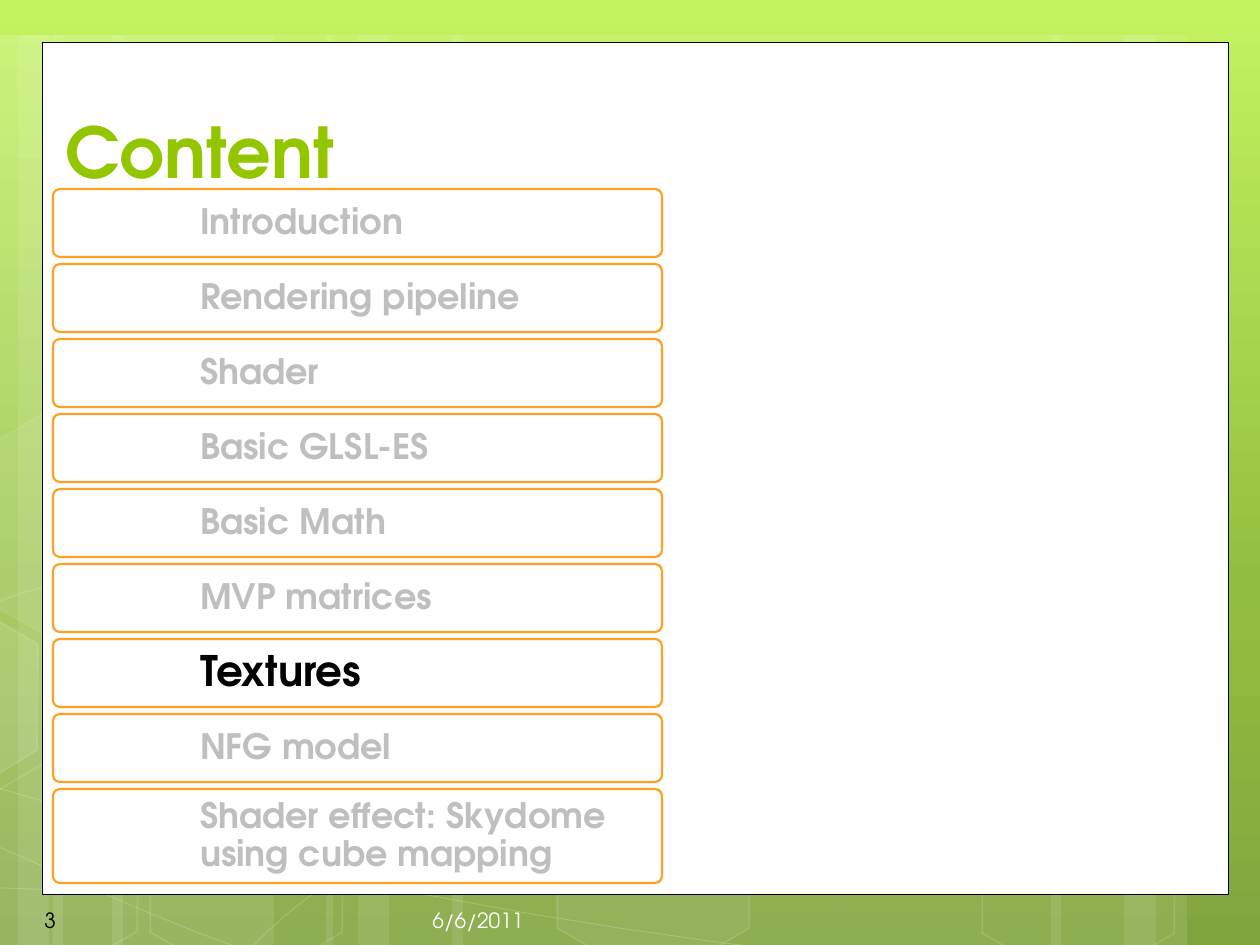
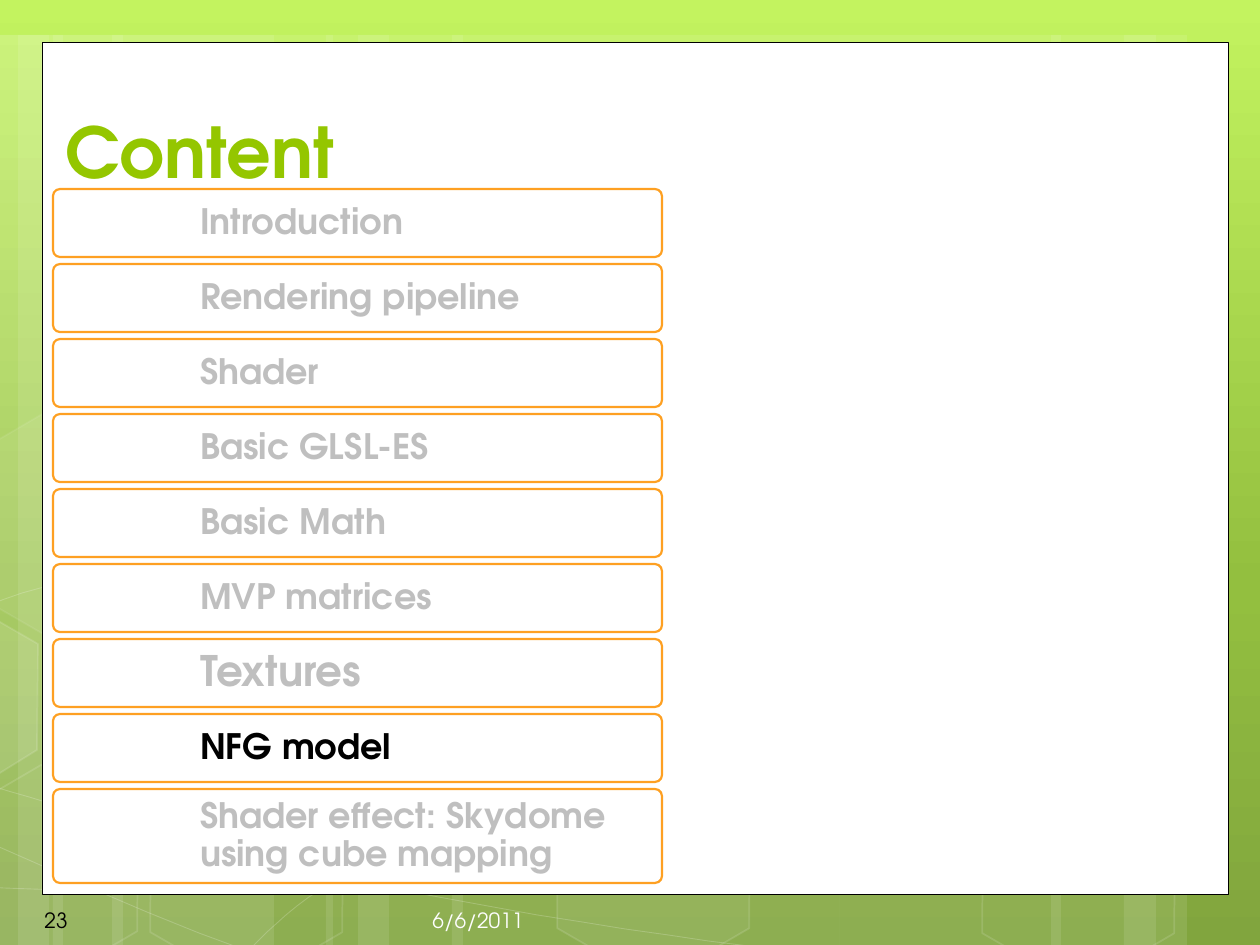
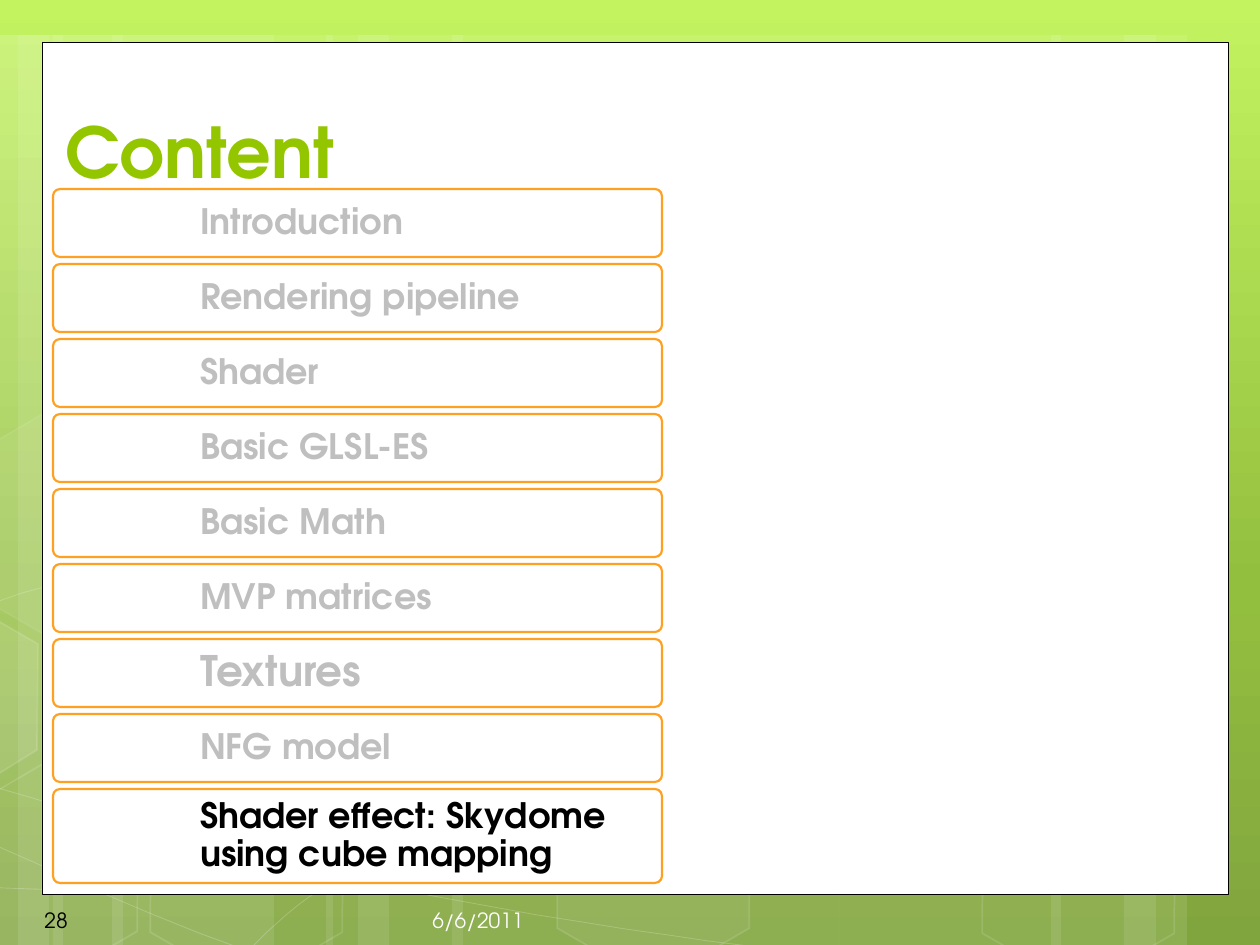
from lxml import etree
from pptx import Presentation
from pptx.dml.color import RGBColor
from pptx.enum.shapes import MSO_SHAPE
from pptx.enum.text import MSO_ANCHOR, PP_ALIGN
from pptx.oxml.ns import qn
from pptx.util import Pt

# Content: page number and highlighted topic of each slide
TITLE = "Content"
DATE = "6/6/2011"
TOPICS = [
    ("Introduction", 20),
    ("Rendering pipeline", 20),
    ("Shader", 20),
    ("Basic GLSL-ES", 20),
    ("Basic Math", 20),
    ("MVP matrices", 20),
    ("Textures", 24),
    ("NFG model", 20),
    ("Shader effect: Skydome using cube mapping", 20),
]
SLIDES = [("3", 6), ("23", 7), ("28", 8)]

# Style
FONT = "TeX Gyre Adventor"
WHITE = RGBColor(0xFF, 0xFF, 0xFF)
BLACK = RGBColor(0, 0, 0)
GREEN = RGBColor(0x94, 0xC6, 0x00)
ORANGE = RGBColor(0xFE, 0xA0, 0x22)
GRAY = RGBColor(0xBF, 0xBF, 0xBF)
DATE_COLOR = RGBColor(0xFE, 0xFE, 0xFE)
GRADIENT = [
    (0, RGBColor(0xC3, 0xF3, 0x5F)),
    (62, RGBColor(0x93, 0xBF, 0x3F)),
    (100, RGBColor(0x81, 0xA5, 0x3E)),
]

# Backdrop, in pixels: stripes as (left, width)
STRIPES = [(53, 221), (-42, 105), (112, 221), (-14, 63), (18, 105), (840, 221),
           (1124, 63), (1051, 105), (452, 388), (326, 63), (358, 105)]
# Curves: a start point, then cubic pieces (control, control, end)
CURVES = [
    [(-74, 883), (-7, 887, 62, 892, 156, 890), (251, 888, 368, 886, 494, 873),
     (620, 861, 799, 837, 915, 813), (1029, 789, 1148, 751, 1186, 730)],
    [(-74, 636), (-38, 617, -1, 597, 69, 580), (141, 561, 243, 533, 354, 523),
     (466, 514, 602, 514, 741, 523), (879, 533, 1110, 572, 1186, 582)],
    [(-76, 813), (77, 882, 228, 951, 338, 980)],
    [(-74, 764), (-35, 777, 5, 791, 78, 811), (151, 832, 261, 862, 365, 883),
     (471, 905, 604, 927, 708, 941), (813, 954, 925, 959, 992, 964),
     (1057, 968, 1075, 965, 1108, 965), (1140, 965, 1163, 963, 1186, 960)],
    [(222, 980), (244, 955, 267, 930, 297, 906), (328, 883, 370, 858, 406, 840),
     (441, 824, 462, 816, 508, 803), (554, 790, 639, 772, 683, 764),
     (728, 756, 735, 756, 774, 752), (813, 750, 874, 746, 917, 745),
     (961, 743, 1033, 745, 1033, 745), (1061, 745, 1090, 745, 1118, 745),
     (1140, 745, 1162, 747, 1173, 747), (1184, 748, 1181, 748, 1184, 750)],
]
# Hexagons: left, top, fill opacity, line opacity (percent)
HEXAGONS = [(543, 777, 6, 12), (-69, 780, 0, 12), (-66, 428, 7, 8),
            (136, 781, 0, 12), (968, 782, 0, 12)]
CUT_HEXAGON = [(-73, 596), (-59, 588), (38, 644), (37, 750), (-58, 809), (-73, 801)]

# Topic list, in pixels
LIST_LEFT, LIST_TOP, ROW_WIDTH, ROW_PITCH = 53, 189, 609, 75
ROW_HEIGHT, LAST_HEIGHT, CORNER = 68, 94, 7

PX = 914400 / 126


def px(*lengths):
    return [round(n * PX) for n in lengths]


def set_opacity(parent, percent):
    color = parent.find(".//" + qn("a:srgbClr"))
    etree.SubElement(color, qn("a:alpha"), val=str(percent * 1000))


def paint(shape, fill=None, fill_opacity=100, line=None, width=1, line_opacity=100):
    shape.shadow.inherit = False
    if fill is None or fill_opacity == 0:
        shape.fill.background()
    else:
        shape.fill.solid()
        shape.fill.fore_color.rgb = fill
        if fill_opacity < 100:
            set_opacity(shape.element.spPr.find(qn("a:solidFill")), fill_opacity)
    if line is None:
        shape.line.fill.background()
    else:
        shape.line.color.rgb = line
        shape.line.width = Pt(width)
        if line_opacity < 100:
            set_opacity(shape.element.spPr.find(qn("a:ln")), line_opacity)


def add_preset(slide, kind, *box):
    return slide.shapes.add_shape(kind, *px(*box))


def add_outline(slide, points, close):
    builder = slide.shapes.build_freeform(*points[0], scale=PX)
    builder.add_line_segments(points[1:], close=close)
    return builder.convert_to_shape()


def write(shape, text, size, color, bold=False, anchor=MSO_ANCHOR.MIDDLE,
          align=PP_ALIGN.LEFT):
    frame = shape.text_frame
    frame.word_wrap = True
    frame.vertical_anchor = anchor
    paragraph = frame.paragraphs[0]
    paragraph.alignment = align
    run = paragraph.add_run()
    run.text = text
    run.font.name, run.font.size, run.font.bold = FONT, Pt(size), bold
    run.font.color.rgb = color
    return paragraph


def add_label(slide, box, *args, **style):
    write(slide.shapes.add_textbox(*px(*box)), *args, **style)


def curve_points(curve, steps=8):
    points = [curve[0]]
    for x1, y1, x2, y2, x3, y3 in curve[1:]:
        x0, y0 = points[-1]
        for i in range(1, steps + 1):
            t = i / steps
            a, b, c, d = (1 - t) ** 3, 3 * t * (1 - t) ** 2, 3 * t * t * (1 - t), t ** 3
            points.append((a * x0 + b * x1 + c * x2 + d * x3,
                           a * y0 + b * y1 + c * y2 + d * y3))
    return points


def set_background(layout):
    fill = layout.background.fill
    fill.gradient()
    fill.gradient_angle = 270
    stops = layout.element.find(".//" + qn("a:gsLst"))
    for stop in list(stops):
        stops.remove(stop)
    for position, color in GRADIENT:
        stop = etree.SubElement(stops, qn("a:gs"), pos=str(position * 1000))
        etree.SubElement(stop, qn("a:srgbClr"), val=str(color))


def draw_backdrop(slide):
    for left, width in STRIPES:
        paint(add_preset(slide, MSO_SHAPE.RECTANGLE, left, 35, width, 945), WHITE, 10)
    for curve in CURVES:
        paint(add_outline(slide, curve_points(curve), False),
              line=WHITE, width=0.5, line_opacity=20)
    for left, top, fill_opacity, line_opacity in HEXAGONS:
        hexagon = add_preset(slide, MSO_SHAPE.HEXAGON, left, top, 221, 192)
        hexagon.adjustments[0] = 0.285
        hexagon.rotation = 30
        paint(hexagon, WHITE, fill_opacity, WHITE, 1, line_opacity)
    paint(add_outline(slide, CUT_HEXAGON, True), WHITE, 10, WHITE, 1, 12)
    paint(add_preset(slide, MSO_SHAPE.RECTANGLE, 42, 42, 1187, 852), WHITE,
          line=BLACK, width=0.5)


def move_to_layout(slide, layout):
    for placeholder in list(layout.placeholders):
        placeholder.element.getparent().remove(placeholder.element)
    for shape in list(slide.shapes):
        layout.element.cSld.spTree.append(shape.element)


def add_topics(slide, current):
    for i, (topic, size) in enumerate(TOPICS):
        height = LAST_HEIGHT if i == len(TOPICS) - 1 else ROW_HEIGHT
        row = add_preset(slide, MSO_SHAPE.ROUNDED_RECTANGLE, LIST_LEFT,
                         LIST_TOP + i * ROW_PITCH, ROW_WIDTH, height)
        row.adjustments[0] = CORNER / height
        paint(row, WHITE, line=ORANGE, width=1.25)
        paragraph = write(row, topic, size, BLACK if i == current else GRAY, bold=True)
        paragraph.line_spacing = 0.9
        paragraph.space_after = Pt(size * 0.35)
        frame = row.text_frame
        frame.margin_left, frame.margin_right = px(145, 4)
        frame.margin_top, frame.margin_bottom = px(4, 4)


prs = Presentation()
prs.slide_width, prs.slide_height = px(1260, 945)
blank = prs.slide_layouts[6]
set_background(blank)

for number, (page, current) in enumerate(SLIDES):
    slide = prs.slides.add_slide(blank)
    if number == 0:  # the shared backdrop lives on the layout
        draw_backdrop(slide)
        move_to_layout(slide, blank)
    add_label(slide, (53, 42, 1166, 157), TITLE, 40, GREEN, bold=True,
              anchor=MSO_ANCHOR.BOTTOM)
    add_label(slide, (32, 895, 184, 50), page, 12, BLACK)
    add_label(slide, (242, 895, 294, 50), DATE, 12, DATE_COLOR, align=PP_ALIGN.RIGHT)
    add_topics(slide, current)

prs.save("out.pptx")
